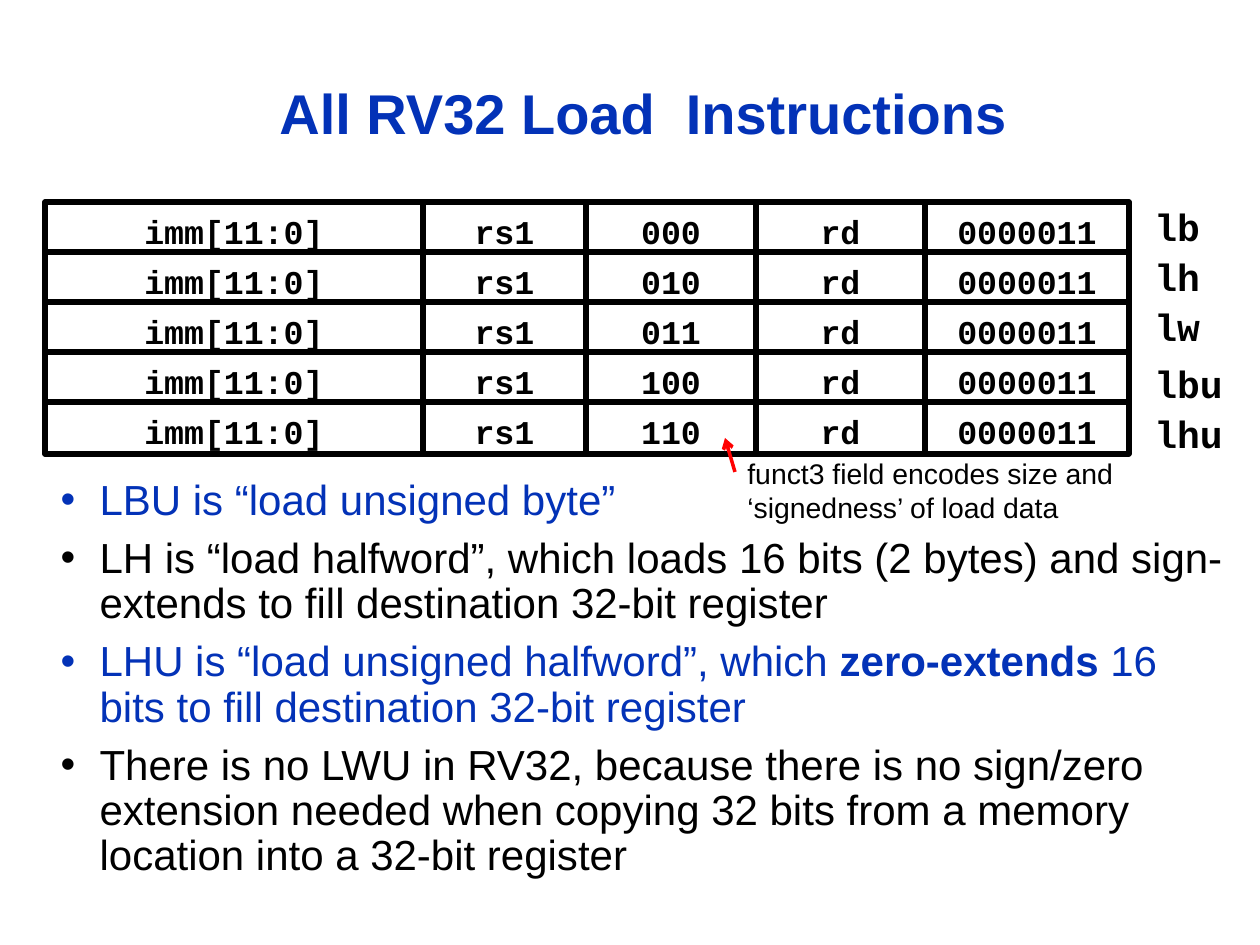
from dataclasses import dataclass
from itertools import accumulate

from lxml.etree import SubElement as Sub
from pptx import Presentation
from pptx.dml.color import RGBColor as Rgb
from pptx.enum.shapes import MSO_CONNECTOR as Link, MSO_SHAPE as Kind
from pptx.enum.text import MSO_ANCHOR as Anchor, MSO_AUTO_SIZE as Fit, PP_ALIGN as Align
from pptx.oxml.ns import qn
from pptx.util import Pt

SCALE = 914400 / 126


@dataclass(frozen=True)
class Theme:
    blue: Rgb = Rgb(0x03, 0x32, 0xB7)
    black: Rgb = Rgb(0, 0, 0)
    white: Rgb = Rgb(255, 255, 255)
    red: Rgb = Rgb(255, 0, 0)
    sans: str = "Arial"
    mono: str = "Courier New"
    title: float = 32
    body: float = 24
    note: float = 16.2
    cell: float = 19
    label: float = 21.7


LOOK = Theme()
CODES = ["000", "010", "011", "100", "110"]
NAMES = ["lb", "lh", "lw", "lbu", "lhu"]
WIDTHS = [378, 163, 170, 169, 204]
POINTS = [
    (LOOK.blue, [("LBU is “load unsigned byte”", False)]),
    (LOOK.black, [("LH is “load halfword”, which loads 16 bits (2 bytes) and "
                   "sign-extends to fill destination 32-bit register", False)]),
    (LOOK.blue, [("LHU is “load unsigned halfword”, which ", False),
                 ("zero-extends", True),
                 (" 16 bits to fill destination 32-bit register", False)]),
    (LOOK.black, [("There is no LWU in RV32, because there is no sign/zero extension "
                   "needed when copying 32 bits from a memory location into a "
                   "32-bit register", False)]),
]


def px(num):
    return round(num * SCALE)


def place(shape, box):
    shape.left, shape.top, shape.width, shape.height = map(px, box)


def style(para, size, color, face=LOOK.sans, bold=None):
    font = para.font
    font.name, font.size, font.bold = face, Pt(size), bold
    font.color.rgb = color


def add_title(slide, box):
    shape = slide.shapes.title
    place(shape, box)
    frame = shape.text_frame
    frame.text = "All RV32 Load  Instructions"
    frame.auto_size, frame.vertical_anchor = Fit.NONE, Anchor.MIDDLE
    para = frame.paragraphs[0]
    para.alignment, para.line_spacing = Align.CENTER, 0.9
    style(para, LOOK.title, LOOK.blue, bold=True)


def add_list(slide, box):
    shape = slide.placeholders[1]
    place(shape, box)
    frame = shape.text_frame
    frame.auto_size = Fit.NONE
    for num, (color, runs) in enumerate(POINTS):
        para = frame.add_paragraph() if num else frame.paragraphs[0]
        props = para._p.get_or_add_pPr()
        props.set("marL", str(px(39)))
        props.set("indent", str(px(-39)))
        Sub(props, qn("a:buChar")).set("char", "•")
        para.line_spacing = 0.9
        para.space_before = Pt(7.2 if num else 0)
        style(para, LOOK.body, color)
        for text, bold in runs:
            run = para.add_run()
            run.text = text
            if bold:
                run.font.bold = True


def add_text(slide, box, text, wrap, size, face, bold):
    shape = slide.shapes.add_textbox(*map(px, box))
    frame = shape.text_frame
    frame.word_wrap = wrap
    frame.text = text
    style(frame.paragraphs[0], size, LOOK.black, face, bold)


def add_cell(group, box, text):
    shape = group.shapes.add_shape(Kind.RECTANGLE, *map(px, box))
    shape.shadow.inherit = False
    shape.fill.solid()
    shape.fill.fore_color.rgb = LOOK.white
    shape.line.color.rgb = LOOK.black
    shape.line.width = Pt(3)
    frame = shape.text_frame
    frame.text = text
    frame.margin_bottom = 0
    frame.vertical_anchor = Anchor.MIDDLE
    para = frame.paragraphs[0]
    para.alignment = Align.CENTER
    style(para, LOOK.cell, LOOK.black, LOOK.mono, True)


def add_grid(slide, box):
    left, top, _, high = box
    step = high // len(CODES)
    edges = list(accumulate(WIDTHS, initial=left))
    for row, code in enumerate(CODES):
        group = slide.shapes.add_group_shape()
        texts = ["imm[11:0]", "rs1", code, "rd", "0000011"]
        for edge, wide, text in zip(edges, WIDTHS, texts):
            add_cell(group, (edge, top + row * step, wide, step + 2), text)


def add_names(slide, box):
    left, top, wide, high = box
    step = high // len(NAMES)
    for row, name in enumerate(NAMES):
        drop = 7 if len(name) > 2 else 0
        span = wide if drop else wide - 23
        add_text(slide, (left, top + row * step + drop, span, 59), name,
                 False, LOOK.label, LOOK.mono, True)


def add_note(slide, box):
    left, top, _, _ = box
    add_text(slide, box, "funct3 field encodes size and ‘signedness’ of load data",
             True, LOOK.note, LOOK.sans, None)
    ends = left, top + 22, left - 10, top - 12
    arrow = slide.shapes.add_connector(Link.STRAIGHT, *map(px, ends))
    arrow.line.color.rgb = LOOK.red
    arrow.line.width = Pt(2)
    Sub(arrow.line._get_or_add_ln(), qn("a:tailEnd")).set("type", "arrow")
    Sub(arrow._element.spPr, qn("a:effectLst"))


def main():
    deck = Presentation()
    deck.slide_width, deck.slide_height = px(1260), px(945)
    slide = deck.slides.add_slide(deck.slide_layouts[1])
    add_title(slide, (95, 45, 1097, 142))
    add_list(slide, (48, 473, 1193, 431))
    add_grid(slide, (45, 202, 1084, 250))
    add_names(slide, (1142, 197, 95, 250))
    add_note(slide, (735, 450, 399, 82))
    deck.save("out.pptx")


if __name__ == "__main__":
    main()
